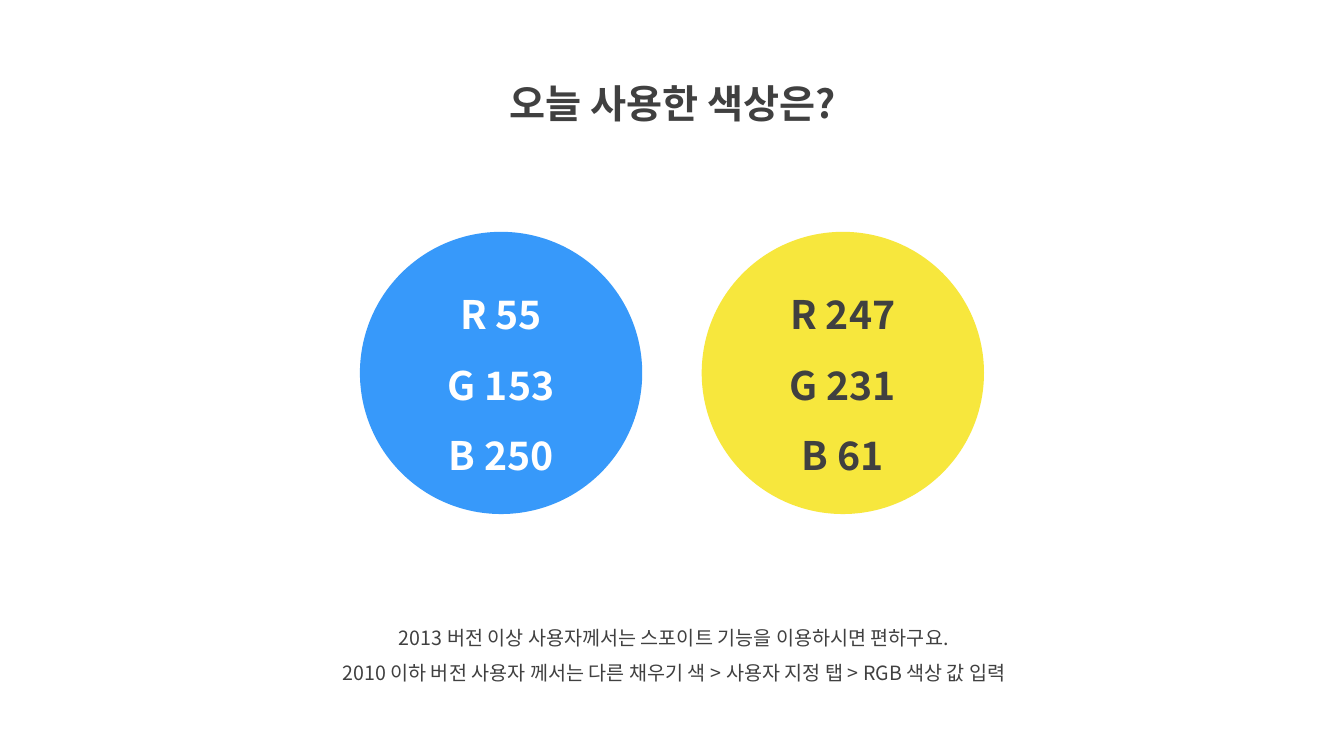
from dataclasses import dataclass

from lxml.etree import SubElement
from pptx import Presentation
from pptx.dml.color import RGBColor
from pptx.enum.shapes import MSO_SHAPE
from pptx.enum.text import MSO_ANCHOR, MSO_AUTO_SIZE, PP_ALIGN
from pptx.oxml.ns import qn
from pptx.util import Inches, Pt


@dataclass(frozen=True)
class Theme:
    font: str = "Noto Sans CJK KR"
    dark: RGBColor = RGBColor(0x40, 0x40, 0x40)
    light: RGBColor = RGBColor(0xFF, 0xFF, 0xFF)
    blue: RGBColor = RGBColor(55, 153, 250)
    yellow: RGBColor = RGBColor(247, 231, 61)
    large: int = 28
    small: int = 14
    line_spacing: float = 1.5


THEME = Theme()
TITLE = "오늘 사용한 색상은?"
SWATCHES = [(THEME.blue, THEME.light), (THEME.yellow, THEME.dark)]
TIPS = [
    "2013 버전 이상 사용자께서는 스포이트 기능을 이용하시면 편하구요.",
    "2010 이하 버전 사용자 께서는 다른 채우기 색 > 사용자 지정 탭 > RGB 색상 값 입력",
]


def write(frame, lines, size, color, bold=False, anchor=MSO_ANCHOR.TOP):
    """Fill a text frame with centred lines, in one font for Latin and Korean."""
    frame.text = "\n".join(lines)
    frame.word_wrap = True
    frame.vertical_anchor = anchor
    for paragraph in frame.paragraphs:
        paragraph.alignment = PP_ALIGN.CENTER
        paragraph.line_spacing = THEME.line_spacing
        paragraph.space_before = Pt(0)
        for run in paragraph.runs:
            run.font.name = THEME.font
            run.font.size = Pt(size)
            run.font.bold = bold
            run.font.color.rgb = color
            east_asian = SubElement(run._r.get_or_add_rPr(), qn("a:ea"))
            east_asian.set("typeface", THEME.font)


def add_title(slide, left, top, width, height):
    title = slide.shapes.title
    title.left, title.top = Inches(left), Inches(top)
    title.width, title.height = Inches(width), Inches(height)
    write(title.text_frame, [TITLE], THEME.large, THEME.dark, bold=True)
    title.text_frame.auto_size = MSO_AUTO_SIZE.SHAPE_TO_FIT_TEXT


def add_swatches(slide, left, top, width, diameter):
    """Spread the colour circles evenly from edge to edge of the box."""
    step = (width - diameter) / (len(SWATCHES) - 1)
    for index, (fill, ink) in enumerate(SWATCHES):
        circle = slide.shapes.add_shape(
            MSO_SHAPE.OVAL, Inches(left + index * step), Inches(top),
            Inches(diameter), Inches(diameter))
        circle.shadow.inherit = False
        circle.fill.solid()
        circle.fill.fore_color.rgb = fill
        circle.line.fill.background()
        channels = [f"{name} {value}" for name, value in zip("RGB", fill)]
        write(circle.text_frame, channels, THEME.large, ink, bold=True,
              anchor=MSO_ANCHOR.MIDDLE)


def add_tips(slide, left, top, width, height):
    tips = slide.shapes.add_textbox(
        Inches(left), Inches(top), Inches(width), Inches(height))
    write(tips.text_frame, TIPS, THEME.small, THEME.dark)
    tips.text_frame.auto_size = MSO_AUTO_SIZE.SHAPE_TO_FIT_TEXT


def main():
    deck = Presentation()
    deck.slide_width, deck.slide_height = Inches(13.33), Inches(7.5)
    slide = deck.slides.add_slide(deck.slide_layouts.get_by_name("Title Only"))
    add_title(slide, 4.36, 0.5, 4.63, 0.72)
    add_swatches(slide, 3.57, 2.3, 6.19, 2.8)
    add_tips(slide, 2.69, 6.04, 7.99, 0.81)
    deck.save("out.pptx")


if __name__ == "__main__":
    main()
